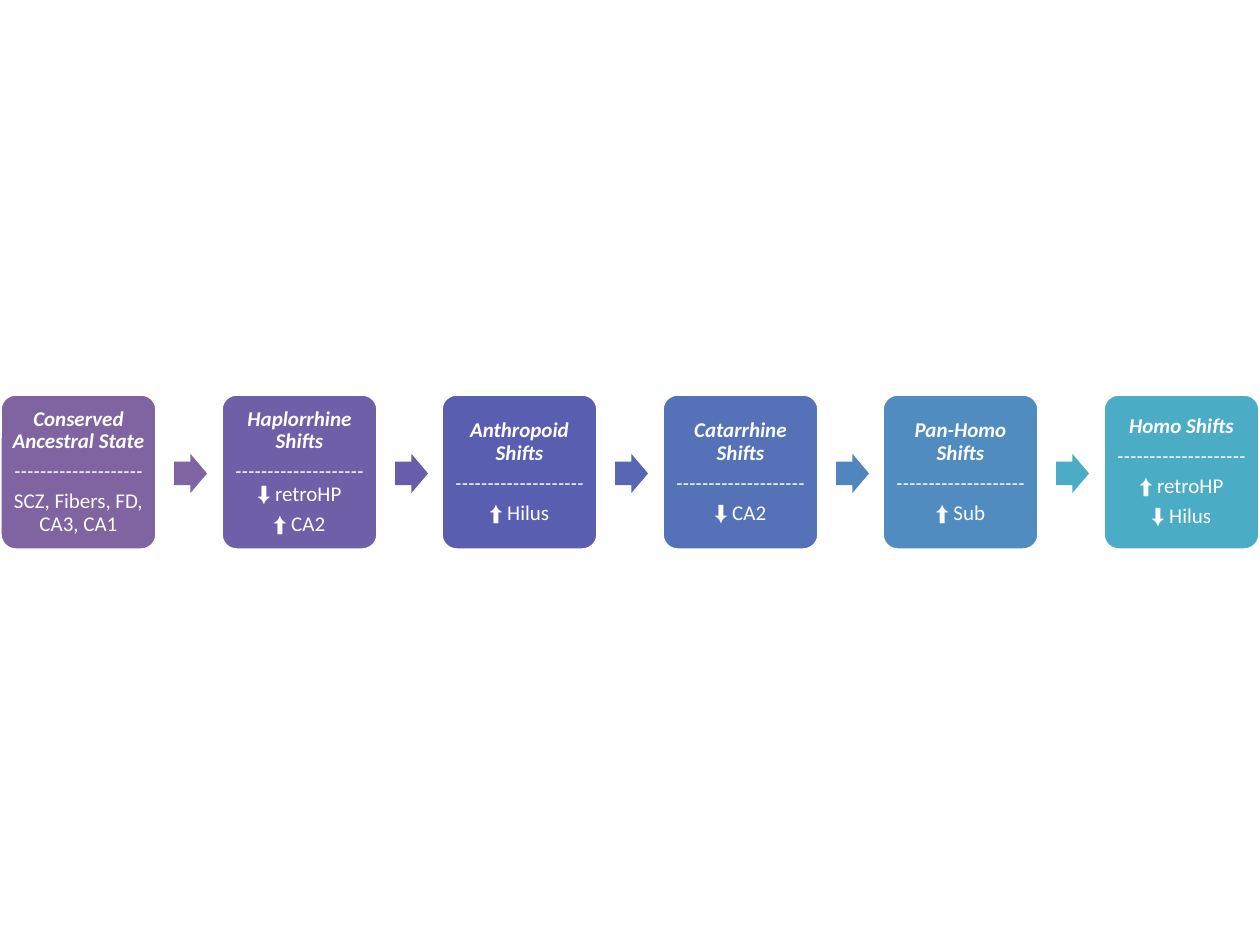
from pptx import Presentation
from pptx.dml.color import RGBColor
from pptx.enum.shapes import MSO_SHAPE as SHAPE
from pptx.enum.text import MSO_ANCHOR as ANCHOR, PP_ALIGN as ALIGN
from pptx.util import Pt

WIDE, HIGH = 1260, 945
BOX_W, BOX_H, BOX_TOP = 157, 156, 394
ARROW_W, ARROW_H, ARROW_TOP = 33, 39, 454
ARROW_GAP = 17
INSET = 6
RULE = "-" * 20

# title, box fill, fill of the arrow that follows, lines of change
STEPS = [
    ("Conserved Ancestral State", "8064A2", "8064A2", ["SCZ, Fibers, FD, CA3, CA1"]),
    ("Haplorrhine Shifts", "6E5FA9", "685DAB", ["⬇ retroHP", "⬆ CA2"]),
    ("Anthropoid Shifts", "5A5EB1", "5767B4", ["⬆ Hilus"]),
    ("Catarrhine Shifts", "5572B8", "5185BD", ["⬇ CA2"]),
    ("Pan-Homo Shifts", "508CBF", "4BACC6", ["⬆ Sub"]),
    ("Homo Shifts", "4BACC6", None, ["⬆ retroHP", "⬇ Hilus"]),
]
# this step keeps its first change in the same paragraph as the rule
JOINED = "Haplorrhine Shifts"


def px(n):
    return round(n * 914400 / 126)


def color(code):
    return RGBColor.from_string(code)


def add_shape(slide, kind, spot, fill, adjust):
    shape = slide.shapes.add_shape(kind, *map(px, spot))
    shape.shadow.inherit = False
    for i, value in enumerate(adjust):
        shape.adjustments[i] = value
    shape.fill.solid()
    shape.fill.fore_color.rgb = color(fill)
    shape.line.fill.background()
    return shape


def add_run(para, text, font="Calibri", bold=False, italic=False):
    run = para.add_run()
    run.text = text
    run.font.name = font
    run.font.size = Pt(12)
    run.font.bold = bold
    run.font.italic = italic
    run.font.color.rgb = color("FFFFFF")


def add_para(frame, first=False):
    para = frame.paragraphs[0] if first else frame.add_paragraph()
    para.alignment = ALIGN.CENTER
    para.line_spacing = 0.9
    para.space_after = Pt(4.2)
    return para


def add_change(para, text):
    """Write one change, with its arrow sign in Arial."""
    if text[0] in "⬆⬇":
        add_run(para, text[0], "Arial")
        text = text[1:]
    add_run(para, text)


def add_box(slide, left, title, fill, changes):
    box = add_shape(slide, SHAPE.ROUNDED_RECTANGLE,
                    (left, BOX_TOP, BOX_W, BOX_H), fill, [0.1])
    box.line.color.rgb = color("FFFFFF")
    box.line.width = Pt(2)
    frame = box.text_frame
    frame.word_wrap = True
    frame.vertical_anchor = ANCHOR.MIDDLE
    frame.margin_left = frame.margin_right = px(INSET)
    frame.margin_top = frame.margin_bottom = px(INSET)

    add_run(add_para(frame, first=True), title, bold=True, italic=True)
    para = add_para(frame)
    add_run(para, RULE, italic=True)
    for i, change in enumerate(changes):
        if i == 0 and title == JOINED:
            para.add_line_break()
        else:
            para = add_para(frame)
        add_change(para, change)


def main():
    deck = Presentation()
    deck.slide_width, deck.slide_height = px(WIDE), px(HIGH)
    slide = deck.slides.add_slide(deck.slide_layouts[6])
    pitch = (WIDE - BOX_W) / (len(STEPS) - 1)
    for i, (title, fill, next_fill, changes) in enumerate(STEPS):
        left = round(i * pitch)
        add_box(slide, left, title, fill, changes)
        if next_fill:
            spot = (left + BOX_W + ARROW_GAP, ARROW_TOP, ARROW_W, ARROW_H)
            add_shape(slide, SHAPE.RIGHT_ARROW, spot, next_fill, [0.6, 0.5])
    deck.save("out.pptx")


if __name__ == "__main__":
    main()
